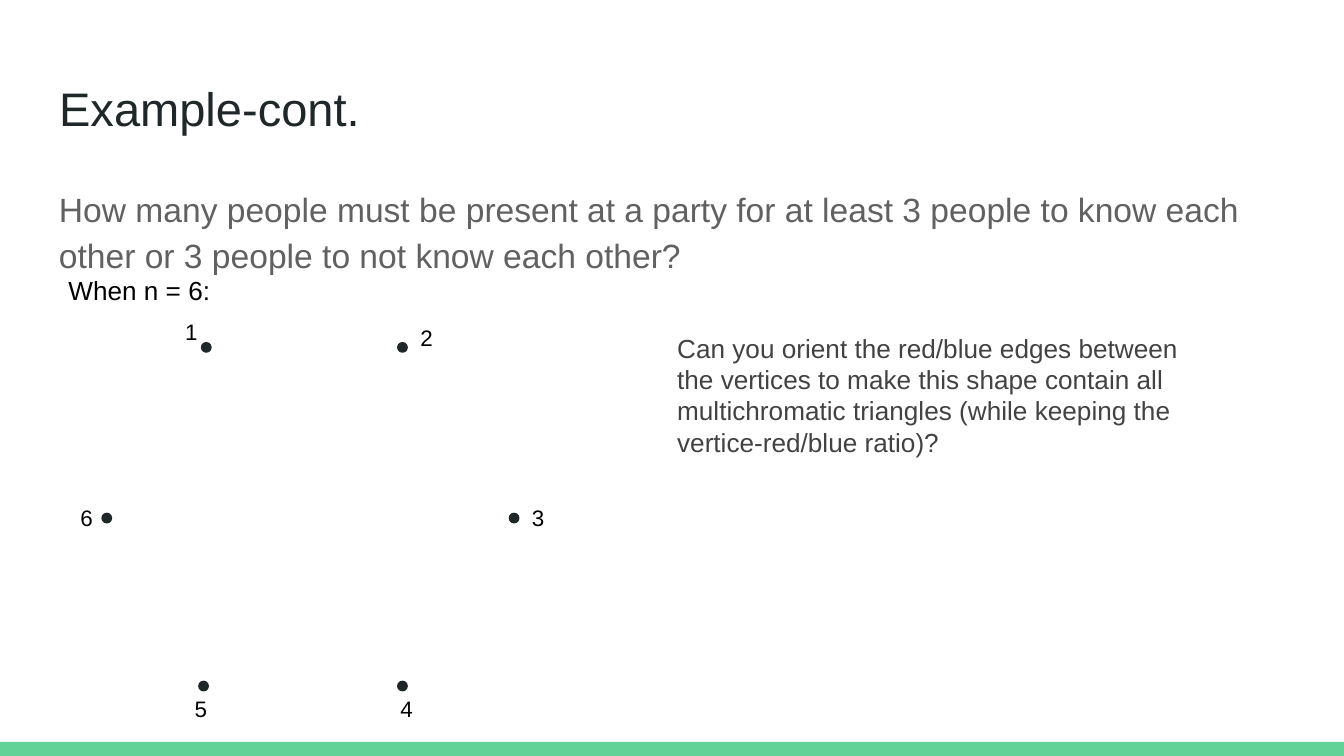
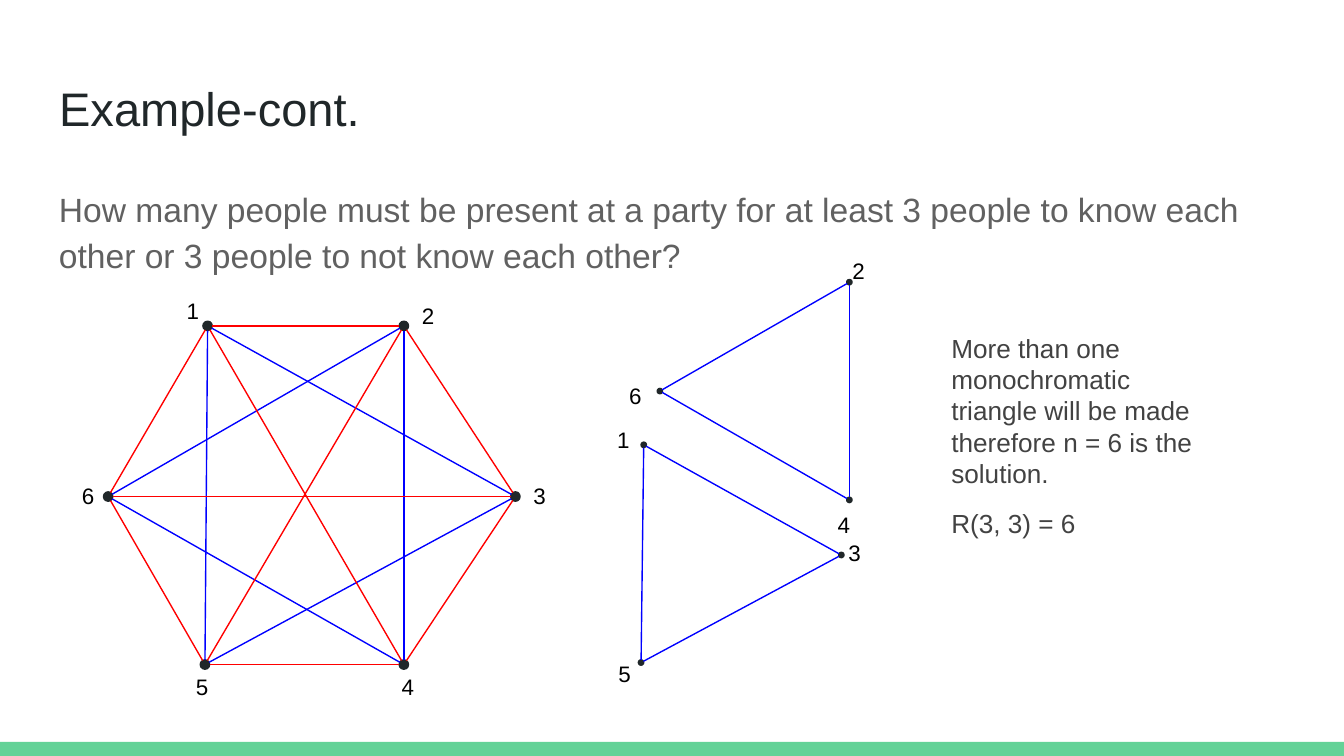
import math

import pptx
import pptx.dml.color
import pptx.enum.shapes
import pptx.enum.text
import pptx.oxml.ns
import pptx.util
from lxml import etree

Inches = pptx.util.Inches
RGBColor = pptx.dml.color.RGBColor
Shape = pptx.enum.shapes.MSO_SHAPE
Anchor = pptx.enum.text.MSO_ANCHOR

GREEN = RGBColor(0x63, 0xD2, 0x97)
INK = RGBColor(0x20, 0x27, 0x29)
QUESTION_GREY = RGBColor(0x61, 0x61, 0x61)
NOTE_GREY = RGBColor(0x42, 0x42, 0x42)
BLACK = RGBColor(0, 0, 0)
RED = RGBColor(0xFF, 0, 0)
BLUE = RGBColor(0, 0, 0xFF)

FONT = "Arial"
SLIDE_WIDTH = 10
SLIDE_HEIGHT = SLIDE_WIDTH * 9 / 16
BAND_AREA = (0, 5.52, SLIDE_WIDTH, SLIDE_HEIGHT - 5.52)
TITLE_AREA = (0.34, 0.49, 9.32, 0.63)
QUESTION_AREA = (0.34, 1.26, 9.32, 3.74)

TITLE = "Example-cont."
QUESTION = ("How many people must be present at a party for at least 3 people "
            "to know each other or 3 people to not know each other?")
CASE = "When n = 6:"
CHALLENGE = ("Can you orient the red/blue edges between the vertices to make this "
             "shape contain all multichromatic triangles (while keeping the "
             "vertice-red/blue ratio)?")
CONCLUSION = ("More than one monochromatic triangle will be made therefore "
              "n = 6 is the solution.", "R(3, 3) = 6")

# Vertex number: top left of its dot, top left of its label
HEXAGON = {
    1: ((1.5, 2.55), (1.28, 2.27)),
    2: ((2.96, 2.55), (3.03, 2.31)),
    3: ((3.79, 3.82), (3.86, 3.65)),
    4: ((2.96, 5.07), (2.88, 5.07)),
    5: ((1.48, 5.07), (1.35, 5.07)),
    6: ((0.76, 3.82), (0.5, 3.65)),
}
EVEN_TRIANGLE = {
    2: ((6.3, 2.08), (6.3, 1.81)),
    4: ((6.3, 3.7), (6.19, 3.7)),
    6: ((4.89, 2.89), (4.64, 2.74)),
}
ODD_TRIANGLE = {
    1: ((4.77, 3.29), (4.55, 3.07)),
    3: ((6.24, 4.11), (6.27, 3.91)),
    5: ((4.75, 4.91), (4.56, 4.81)),
}
HEXAGON_SIZES = {"dot": 0.07, "label_width": 0.22}
TRIANGLE_SIZES = {"dot": 0.04, "label_width": 0.14}
HEXAGON_SHIFT = (0.01, -0.16)

EVEN_EDGES = [(6, 2), (2, 4), (4, 6)]
ODD_EDGES = [(1, 3), (3, 5), (5, 1)]
RIM_EDGES = [(1, 2), (2, 3), (3, 4), (4, 5), (5, 6), (6, 1)]
DIAGONALS = [(6, 3), (5, 2), (1, 4)]


def write_text(shape, paragraphs, size, color, anchor=Anchor.TOP, line_spacing=None,
               space_before=0, grow=False):
    frame = shape.text_frame
    frame.word_wrap = True
    frame.vertical_anchor = anchor
    frame.auto_size = (pptx.enum.text.MSO_AUTO_SIZE.SHAPE_TO_FIT_TEXT if grow
                       else pptx.enum.text.MSO_AUTO_SIZE.NONE)
    frame.margin_left = frame.margin_right = Inches(0.1)
    frame.margin_top = frame.margin_bottom = Inches(0.1)
    for index, text in enumerate(paragraphs):
        paragraph = frame.add_paragraph() if index else frame.paragraphs[0]
        paragraph.alignment = pptx.enum.text.PP_ALIGN.LEFT
        if index:
            paragraph.space_before = pptx.util.Pt(space_before)
        if line_spacing:
            paragraph.line_spacing = line_spacing
        run = paragraph.add_run()
        run.text = text
        run.font.name = FONT
        run.font.size = pptx.util.Pt(size)
        run.font.color.rgb = color


def add_text(slide, area, *paragraphs, **text_format):
    box = slide.shapes.add_textbox(*map(Inches, area))
    write_text(box, paragraphs, **text_format)


def add_filled(slide, preset, area, color, outlined=False):
    shape = slide.shapes.add_shape(preset, *map(Inches, area))
    shape.shadow.inherit = False
    shape.fill.solid()
    shape.fill.fore_color.rgb = color
    if outlined:
        shape.line.color.rgb = color
        shape.line.width = pptx.util.Pt(0.75)
    else:
        shape.line.fill.background()


def add_edge(slide, start, end, trim, color):
    """Join two dot centres, leaving out the given length at each end."""
    share = trim / math.dist(start, end)
    step_x, step_y = [(b - a) * share for a, b in zip(start, end)]
    line = slide.shapes.add_connector(
        pptx.enum.shapes.MSO_CONNECTOR.STRAIGHT,
        Inches(start[0] + step_x), Inches(start[1] + step_y),
        Inches(end[0] - step_x), Inches(end[1] - step_y))
    line.line.color.rgb = color
    line.line.width = pptx.util.Pt(0.75)
    properties = line._element.find(pptx.oxml.ns.qn("p:spPr"))
    etree.SubElement(properties, pptx.oxml.ns.qn("a:effectLst"))


def add_graph(slide, vertices, dot, label_width, edges=(), shift=(0, 0)):
    """Draw numbered dots and the (color, pairs) groups of edges between them."""
    centers = {}
    for number, positions in vertices.items():
        (dot_x, dot_y), (label_x, label_y) = [
            (x + shift[0], y + shift[1]) for x, y in positions]
        add_text(slide, (label_x, label_y, label_width, 0.4), str(number),
                 size=12, color=BLACK, grow=True)
        add_filled(slide, Shape.OVAL, (dot_x, dot_y, dot, dot), INK, outlined=True)
        centers[number] = (dot_x + dot / 2, dot_y + dot / 2)
    for color, pairs in edges:
        for first, second in pairs:
            add_edge(slide, centers[first], centers[second], dot / 2, color)


def add_example_slide(presentation):
    """Add a slide with the shared band, title and question."""
    slide = presentation.slides.add_slide(presentation.slide_layouts[5])
    add_filled(slide, Shape.RECTANGLE, BAND_AREA, GREEN)
    title = slide.shapes.title
    title.left, title.top, title.width, title.height = map(Inches, TITLE_AREA)
    write_text(title, [TITLE], size=25.2, color=INK, anchor=Anchor.MIDDLE)
    add_text(slide, QUESTION_AREA, QUESTION, size=18, color=QUESTION_GREY,
             line_spacing=1.15)
    return slide


def add_challenge_slide(presentation):
    slide = add_example_slide(presentation)
    add_text(slide, (4.94, 2.37, 4.17, 1.14), CHALLENGE, size=14,
             color=NOTE_GREY, grow=True)
    add_graph(slide, HEXAGON, **HEXAGON_SIZES)
    add_text(slide, (0.41, 1.94, 1.38, 0.44), CASE, size=14, color=BLACK, grow=True)


def add_solution_slide(presentation):
    slide = add_example_slide(presentation)
    add_graph(slide, HEXAGON, **HEXAGON_SIZES, shift=HEXAGON_SHIFT,
              edges=[(RED, RIM_EDGES), (BLUE, EVEN_EDGES + ODD_EDGES), (RED, DIAGONALS)])
    add_graph(slide, EVEN_TRIANGLE, **TRIANGLE_SIZES, edges=[(BLUE, EVEN_EDGES)])
    add_graph(slide, ODD_TRIANGLE, **TRIANGLE_SIZES, edges=[(BLUE, ODD_EDGES)])
    add_text(slide, (6.98, 2.37, 2.14, 1.76), *CONCLUSION, size=14,
             color=NOTE_GREY, space_before=10, grow=True)


def main():
    presentation = pptx.Presentation()
    presentation.slide_width = Inches(SLIDE_WIDTH)
    presentation.slide_height = Inches(SLIDE_HEIGHT)
    add_challenge_slide(presentation)
    add_solution_slide(presentation)
    presentation.save("out.pptx")


if __name__ == "__main__":
    main()
